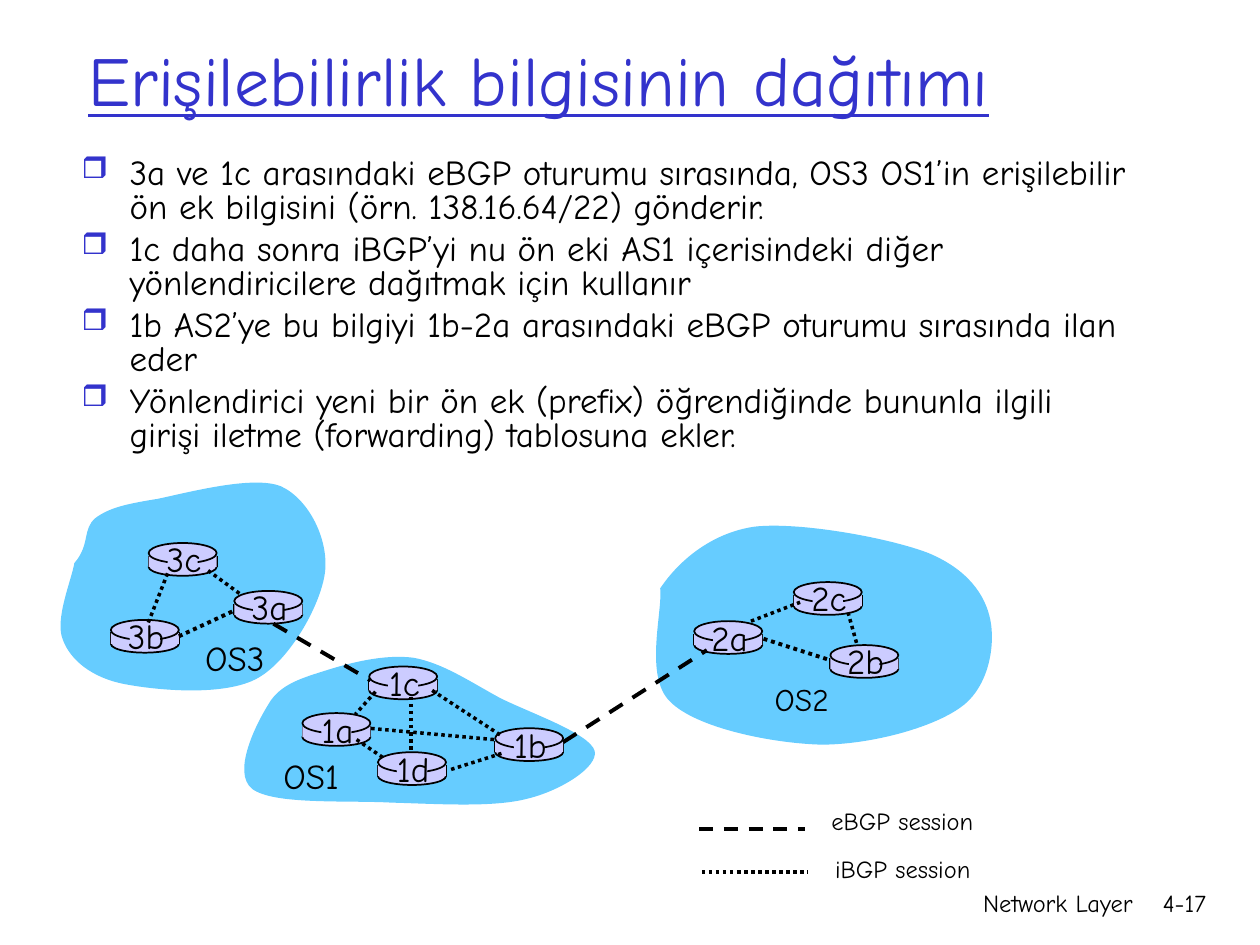
from dataclasses import dataclass

from lxml import etree
from pptx import Presentation
from pptx.dml.color import RGBColor
from pptx.enum.dml import MSO_LINE
from pptx.enum.shapes import MSO_CONNECTOR, MSO_SHAPE
from pptx.enum.text import MSO_ANCHOR, MSO_AUTO_SIZE, PP_ALIGN
from pptx.oxml.ns import qn
from pptx.util import Inches, Pt

LEFT, MID, RIGHT = PP_ALIGN.LEFT, PP_ALIGN.CENTER, PP_ALIGN.RIGHT
DASH, DOT = MSO_LINE.DASH, MSO_LINE.ROUND_DOT
FIT, FIXED = MSO_AUTO_SIZE.SHAPE_TO_FIT_TEXT, MSO_AUTO_SIZE.NONE
MIDDLE, TOP = MSO_ANCHOR.MIDDLE, MSO_ANCHOR.TOP
OVAL, RECT = MSO_SHAPE.OVAL, MSO_SHAPE.RECTANGLE
STRAIGHT = MSO_CONNECTOR.STRAIGHT


@dataclass(frozen=True)
class Theme:
    font: str = "Comic Neue"
    ink: str = "000000"
    accent: str = "3333CC"
    cloud: str = "66CCFF"
    router: str = "CCCCFF"
    title: int = 40
    body: int = 20
    label: int = 18
    small: int = 14


THEME = Theme()

TITLE = "Erişilebilirlik bilgisinin dağıtımı"
POINTS = [
    "3a ve 1c arasındaki eBGP oturumu sırasında, OS3 OS1’in erişilebilir "
    "ön ek bilgisini (örn. 138.16.64/22) gönderir.",
    "1c daha sonra iBGP’yi nu ön eki AS1 içerisindeki diğer "
    "yönlendiricilere dağıtmak için kullanır",
    "1b AS2’ye bu bilgiyi 1b-2a arasındaki eBGP oturumu sırasında ilan eder",
    "Yönlendirici yeni bir ön ek (prefix) öğrendiğinde bununla ilgili "
    "girişi iletme (forwarding) tablosuna ekler.",
]
CLOUDS = [
    [(5.24, 4.67), (5.38, 4.46), (5.64, 4.23), (5.99, 4.18),
     (6.35, 4.14), (7.06, 4.27), (7.37, 4.39), (7.68, 4.52), (7.82, 4.72),
     (7.86, 4.92), (7.9, 5.12), (7.85, 5.45), (7.63, 5.61), (7.4, 5.78),
     (6.9, 5.91), (6.52, 5.91), (6.13, 5.9), (5.53, 5.78), (5.32, 5.57),
     (5.11, 5.37), (5.26, 4.86), (5.24, 4.67)],
    [(0.59, 4.47), (0.72, 4.32), (0.65, 4.2), (0.76, 4.11),
     (0.87, 4.03), (1, 4), (1.25, 3.96), (1.49, 3.91), (2.01, 3.77),
     (2.23, 3.86), (2.45, 3.96), (2.61, 4.28), (2.58, 4.54), (2.55, 4.79),
     (2.31, 5.23), (2.05, 5.38), (1.79, 5.53), (1.25, 5.48), (0.99, 5.43),
     (0.73, 5.38), (0.56, 5.24), (0.5, 5.08), (0.43, 4.92), (0.57, 4.6),
     (0.59, 4.47)],
    [(2.13, 5.59), (2.22, 5.43), (2.4, 5.38), (2.59, 5.32),
     (2.78, 5.26), (3.05, 5.19), (3.28, 5.22), (3.51, 5.26), (3.73, 5.41),
     (3.97, 5.54), (4.21, 5.66), (4.68, 5.82), (4.72, 5.96), (4.75, 6.09),
     (4.44, 6.28), (4.18, 6.34), (3.91, 6.41), (3.47, 6.38), (3.11, 6.37),
     (2.75, 6.35), (2.17, 6.39), (2, 6.26), (1.84, 6.13), (2.03, 5.75),
     (2.13, 5.59)],
]
ROUTERS = {
    "3b": (0.88, 4.92), "1d": (3, 5.97), "3a": (1.86, 4.69),
    "1c": (2.93, 5.29), "2a": (5.51, 4.93), "1a": (2.4, 5.66),
    "2c": (6.3, 4.62), "2b": (6.59, 5.12), "1b": (3.93, 5.78),
    "3c": (1.18, 4.31),
}
EBGP = [(2.17, 4.95, 2.94, 5.4), (4.47, 5.89, 5.61, 5.16)]
IBGP_WIDE = [(6.06, 5.07, 6.59, 5.24), (1.42, 5.05, 1.85, 4.85)]
IBGP = [
    (2.98, 5.49, 2.82, 5.67), (3.26, 5.53, 3.26, 5.96),
    (3.43, 5.48, 3.98, 5.84), (3.98, 5.98, 3.57, 6.11),
    (3.92, 5.87, 2.93, 5.78), (5.96, 4.93, 6.35, 4.78),
    (1.9, 4.71, 1.64, 4.52), (1.33, 4.55, 1.17, 4.96),
    (6.73, 4.86, 6.8, 5.11), (2.83, 5.87, 3.05, 6.02),
]
AREAS = [("OS3", 1.53, 5, 0.67, THEME.body), ("OS1", 2.15, 5.94, 0.64, THEME.body),
         ("OS2", 6.05, 5.35, 0.63, THEME.label)]
KEYS = [("eBGP session", 5.55, 6.58, DASH, 6.5, 6.35),
        ("iBGP session", 5.57, 6.92, DOT, 6.53, 6.73)]
FOOTER = [("Network Layer", 5.92, 3.17), ("4-17", 8.93, 0.74)]


def rgb(code):
    return RGBColor.from_string(code)


def apply(item, form):
    for name, value in form.items():
        setattr(item, name, value)


def place(item, left, top, width, height):
    apply(item, {"left": Inches(left), "top": Inches(top),
                 "width": Inches(width), "height": Inches(height)})


def write(para, text, size, color=THEME.ink, align=LEFT, under=None):
    para.alignment = align
    run = para.add_run()
    run.text = text
    apply(run.font, {"name": THEME.font, "size": Pt(size), "underline": under})
    run.font.color.rgb = rgb(color)


def add_text(slide, text, box, size, align=LEFT, wrap=False):
    frame = slide.shapes.add_textbox(*map(Inches, box)).text_frame
    apply(frame, {"word_wrap": wrap, "auto_size": FIXED if wrap else FIT})
    write(frame.paragraphs[0], text, size, align=align)


def add_title(slide):
    title = slide.shapes.title
    place(title, 0.6, 0, 8.5, 1.25)
    apply(title.text_frame, {"auto_size": FIXED, "vertical_anchor": MIDDLE,
                             "word_wrap": True})
    write(title.text_frame.paragraphs[0], TITLE, THEME.title, THEME.accent, under=True)


def add_bullet(para):
    props = para._p.get_or_add_pPr()
    props.set("marL", str(Inches(0.38)))
    props.set("indent", str(Inches(-0.38)))
    color = etree.SubElement(props, qn("a:buClr"))
    etree.SubElement(color, qn("a:srgbClr"), val=THEME.accent)
    etree.SubElement(props, qn("a:buSzPct"), val="85000")
    etree.SubElement(props, qn("a:buChar"), char="❒")


def add_body(slide):
    box = slide.shapes.add_textbox(*map(Inches, (0.55, 1.21, 8.5, 2.59)))
    frame = box.text_frame
    apply(frame, {"word_wrap": True, "auto_size": FIXED, "vertical_anchor": TOP})
    for row, text in enumerate(POINTS):
        para = frame.add_paragraph() if row else frame.paragraphs[0]
        apply(para, {"line_spacing": 0.8, "space_before": Pt(5)})
        add_bullet(para)
        write(para, text, THEME.body)


def paint(shape, color, edge=False):
    shape.shadow.inherit = False
    shape.fill.solid()
    shape.fill.fore_color.rgb = rgb(color)
    if edge:
        shape.line.color.rgb = rgb(THEME.ink)
        shape.line.width = Pt(1)
    else:
        shape.line.fill.background()


def bend(shape):
    legs = list(shape._element.iter(qn("a:lnTo")))
    for start in range(0, len(legs), 3):
        curve = etree.Element(qn("a:cubicBezTo"))
        legs[start].addprevious(curve)
        for leg in legs[start:start + 3]:
            curve.append(leg[0])
            leg.getparent().remove(leg)


def add_cloud(slide, nodes):
    first, *rest = [(Inches(x), Inches(y)) for x, y in nodes]
    pen = slide.shapes.build_freeform(*first)
    pen.add_line_segments(rest, close=True)
    cloud = pen.convert_to_shape()
    bend(cloud)
    paint(cloud, THEME.cloud)


def add_line(slide, ends, width, dash=None):
    line = slide.shapes.add_connector(STRAIGHT, *map(Inches, ends))
    line.line.color.rgb = rgb(THEME.ink)
    apply(line.line, {"width": Pt(width), "dash_style": dash})
    etree.SubElement(line._element.spPr, qn("a:effectLst"))


def add_part(slide, kind, box, edge=False):
    paint(slide.shapes.add_shape(kind, *map(Inches, box)), THEME.router, edge)


def add_router(slide, name, x, y):
    add_part(slide, OVAL, (x, y + 0.12, 0.54, 0.14), True)
    for side in (x, x + 0.54):
        add_line(slide, (side, y + 0.1, side, y + 0.19), 1)
    add_part(slide, RECT, (x, y + 0.1, 0.54, 0.09))
    add_part(slide, OVAL, (x, y, 0.54, 0.16), True)
    add_part(slide, RECT, (x + 0.15, y + 0.02, 0.24, 0.21))
    add_text(slide, name, (x + 0.03, y - 0.09, 0.5, 0.44), THEME.body, MID)


def main():
    deck = Presentation()
    apply(deck, {"slide_width": Inches(10), "slide_height": Inches(7.5)})
    slide = deck.slides.add_slide(deck.slide_layouts[5])
    for text, x, width in FOOTER:
        add_text(slide, text, (x, 7, width, 0.5), THEME.small, RIGHT, True)
    add_title(slide)
    add_body(slide)
    for nodes in CLOUDS:
        add_cloud(slide, nodes)
    for name, spot in ROUTERS.items():
        add_router(slide, name, *spot)
    for links, width, dash in ((EBGP, 2.25, DASH), (IBGP_WIDE, 2.25, DOT), (IBGP, 2, DOT)):
        for ends in links:
            add_line(slide, ends, width, dash)
    for text, x, y, width, size in AREAS:
        add_text(slide, text, (x, y, width, 0.44), size)
    for text, x, y, dash, left, top in KEYS:
        add_line(slide, (x, y, x + 0.84, y), 2, dash)
        add_text(slide, text, (left, top, 1.34, 0.34), THEME.small)
    deck.save("out.pptx")


if __name__ == "__main__":
    main()
